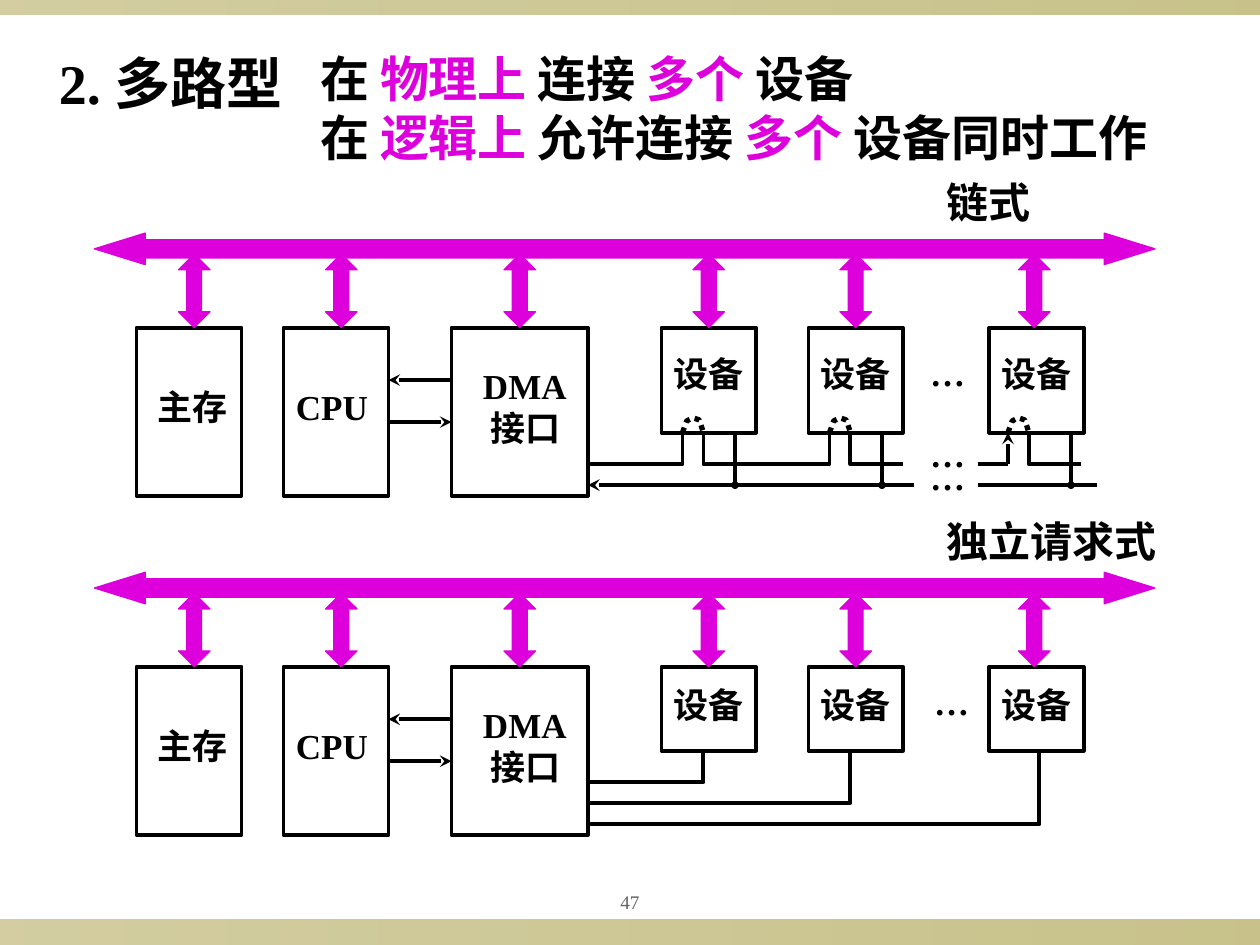
import pptx
import pptx.dml.color
import pptx.enum.dml
import pptx.enum.shapes
import pptx.enum.text
import pptx.oxml.ns
import pptx.util
from lxml import etree

BLACK = pptx.dml.color.RGBColor(0x00, 0x00, 0x00)
MAGENTA = pptx.dml.color.RGBColor(0xDD, 0x00, 0xDD)
GRAY = pptx.dml.color.RGBColor(0x63, 0x63, 0x63)
OLIVE = pptx.dml.color.RGBColor(0x91, 0x84, 0x15)
FONT = "Times New Roman"
COLUMNS, ROWS = 120, 90
CELL = pptx.util.Inches(10) // COLUMNS
SHAPES = pptx.enum.shapes.MSO_SHAPE
ALIGN = pptx.enum.text.PP_ALIGN
ANCHOR = pptx.enum.text.MSO_ANCHOR

BUS_ARROWS = (17, 31, 48, 66, 80, 97)
DEVICES = (63, 77, 94.2)
GATES = (65, 79, 96)
REPLIES = (70, 84, 102)


def grid(*cells):
    return [round(cell * CELL) for cell in cells]


def style_font(font, size, color=BLACK, bold=True):
    font.name = FONT
    font.size = pptx.util.Pt(size)
    font.bold = bold
    font.color.rgb = color


def write_lines(frame, lines, size, color=BLACK, bold=True, align=ALIGN.LEFT):
    frame.word_wrap = True
    frame.text = "\n".join(lines)
    for paragraph in frame.paragraphs:
        paragraph.alignment = align
        style_font(paragraph.font, size, color, bold)


def add_label(slide, box, text, size):
    label = slide.shapes.add_textbox(*grid(*box))
    write_lines(label.text_frame, [text], size)


def style_line(line, width=2.25, color=BLACK):
    line.color.rgb = color
    line.width = pptx.util.Pt(width)


def add_bar(slide, top, height):
    bar = slide.shapes.add_shape(SHAPES.RECTANGLE, *grid(0, top, COLUMNS, height))
    bar.shadow.inherit = False
    bar.line.fill.background()
    bar.fill.gradient()
    bar.fill.gradient_angle = 0
    for stop in bar.fill.gradient_stops:
        stop.color.rgb = OLIVE
    colors = bar._element.spPr.iter(pptx.oxml.ns.qn("a:srgbClr"))
    for color, alpha in zip(list(colors), ("40000", "50000")):
        etree.SubElement(color, pptx.oxml.ns.qn("a:alpha")).set("val", alpha)


def add_block(slide, box, lines, inset_left, inset_top):
    block = slide.shapes.add_shape(SHAPES.RECTANGLE, *grid(*box))
    block.shadow.inherit = False
    block.fill.background()
    style_line(block.line)
    frame = block.text_frame
    frame.vertical_anchor = ANCHOR.TOP
    frame.margin_left, frame.margin_top = grid(inset_left, inset_top)
    frame.margin_right = frame.margin_bottom = 0
    write_lines(frame, lines, 20)


def add_bus_arrow(slide, preset, box, adjustments):
    arrow = slide.shapes.add_shape(preset, *grid(*box))
    arrow.shadow.inherit = False
    arrow.fill.solid()
    arrow.fill.fore_color.rgb = MAGENTA
    style_line(arrow.line, 0.75, MAGENTA)
    for index, value in enumerate(adjustments):
        arrow.adjustments[index] = value


def add_line(slide, start, end, tail=None, tail_size="med"):
    connector = slide.shapes.add_connector(
        pptx.enum.shapes.MSO_CONNECTOR.STRAIGHT, *grid(*start, *end))
    style_line(connector.line)
    properties = connector._element.spPr
    if tail:
        ending = etree.SubElement(properties.find(pptx.oxml.ns.qn("a:ln")),
                                  pptx.oxml.ns.qn("a:tailEnd"))
        ending.set("type", tail)
        ending.set("w", tail_size)
        ending.set("len", tail_size)
    etree.SubElement(properties, pptx.oxml.ns.qn("a:effectLst"))


def add_wire(slide, points, width=2.25, dash=None):
    start, *others = [grid(*point) for point in points]
    builder = slide.shapes.build_freeform(*start)
    builder.add_line_segments(others, close=False)
    wire = builder.convert_to_shape()
    wire.shadow.inherit = False
    wire.fill.background()
    style_line(wire.line, width)
    if dash:
        wire.line.dash_style = dash


def add_title(slide):
    title = slide.shapes.title
    title.left, title.top, title.width, title.height = grid(4.4, 4, 26, 7.7)
    frame = title.text_frame
    frame.auto_size = pptx.enum.text.MSO_AUTO_SIZE.NONE
    frame.vertical_anchor = ANCHOR.TOP
    frame.margin_right = 0
    write_lines(frame, ["2. 多路型"], 32)


def add_summary(slide):
    frame = slide.shapes.add_textbox(*grid(29.3, 4, 87, 12.5)).text_frame
    frame.word_wrap = True
    lines = (("在 ", "物理上 ", "连接 ", "多个 ", "设备"),
             ("在 ", "逻辑上 ", "允许连接 ", "多个 ", "设备同时工作"))
    for index, pieces in enumerate(lines):
        paragraph = frame.add_paragraph() if index else frame.paragraphs[0]
        for position, text in enumerate(pieces):
            run = paragraph.add_run()
            run.text = text
            style_font(run.font, 28, MAGENTA if position % 2 else BLACK)


def add_page_number(slide):
    frame = slide.shapes.add_textbox(*grid(54, 84, 12, 3.7)).text_frame
    frame.vertical_anchor = ANCHOR.MIDDLE
    frame.margin_left = frame.margin_right = pptx.util.Inches(0.05)
    write_lines(frame, ["47"], 11, GRAY, False, ALIGN.CENTER)


def add_system(slide, top, heading, device_height, device_inset):
    for left in DEVICES:
        add_block(slide, (left, top + 9, 9, device_height), ["设备"], 1.2, device_inset)
    add_block(slide, (43, top + 9, 13, 16), ["DMA", " 接口"], 3, 3.5)
    add_block(slide, (27, top + 9, 10, 16), ["CPU"], 1.2, 5.5)
    add_block(slide, (13, top + 9, 10, 16), ["主存"], 2, 5.5)
    add_bus_arrow(slide, SHAPES.LEFT_RIGHT_ARROW, (9, top, 101, 3), (0.58, 1.61))
    for left in BUS_ARROWS:
        add_bus_arrow(slide, SHAPES.UP_DOWN_ARROW, (left, top + 2, 3, 7), (0.5, 0.47))
    add_line(slide, (37, top + 18), (43, top + 18), "stealth")
    add_line(slide, (43, top + 14), (37, top + 14), "stealth")
    add_label(slide, (89, top - 6, 30, 6), heading, 24)


def add_chain_wiring(slide, top):
    edge, request, reply = top + 19, top + 22, top + 24
    first, second, last = GATES
    add_wire(slide, [(56, request), (first, request), (first, edge)])
    add_wire(slide, [(first + 2, edge), (first + 2, request),
                     (second, request), (second, edge)])
    for gate in (second, last):
        add_wire(slide, [(gate + 2, edge), (gate + 2, request), (gate + 7, request)])
    add_line(slide, (93.1, request), (last, request))
    add_line(slide, (last, request), (last, edge), "stealth")
    add_line(slide, (87, reply), (56, reply), "stealth")
    add_line(slide, (93.1, reply), (104.5, reply))
    for column in REPLIES:
        add_line(slide, (column, edge), (column, reply), "oval", "sm")
    arc = ((0, 0), (0.4, 1.1), (1, 1.4), (1.6, 1.2), (2, 0))
    for gate in GATES:
        add_wire(slide, [(gate + x, edge - y) for x, y in arc], 3,
                 pptx.enum.dml.MSO_LINE.ROUND_DOT)
    for row in (10.7, 18.4, 20.6):
        add_label(slide, (87.4, top + row, 6, 5.3), "…", 20)


def add_independent_wiring(slide, top):
    for column, row in zip((67, 81, 99), (20, 22, 24)):
        add_wire(slide, [(56, top + row), (column, top + row), (column, top + 17)])
    add_label(slide, (87.8, top + 9.7, 6, 5.3), "…", 20)


def main():
    presentation = pptx.Presentation()
    presentation.slide_width, presentation.slide_height = grid(COLUMNS, ROWS)
    slide = presentation.slides.add_slide(presentation.slide_layouts[5])
    add_bar(slide, 87.6, 2.4)
    add_bar(slide, 0, 1.4)
    add_page_number(slide)
    add_title(slide)
    add_summary(slide)
    add_system(slide, 54.5, "独立请求式", 8, 1.6)
    add_independent_wiring(slide, 54.5)
    add_system(slide, 22.2, "链式", 10, 2.4)
    add_chain_wiring(slide, 22.2)
    presentation.save("out.pptx")


if __name__ == "__main__":
    main()
